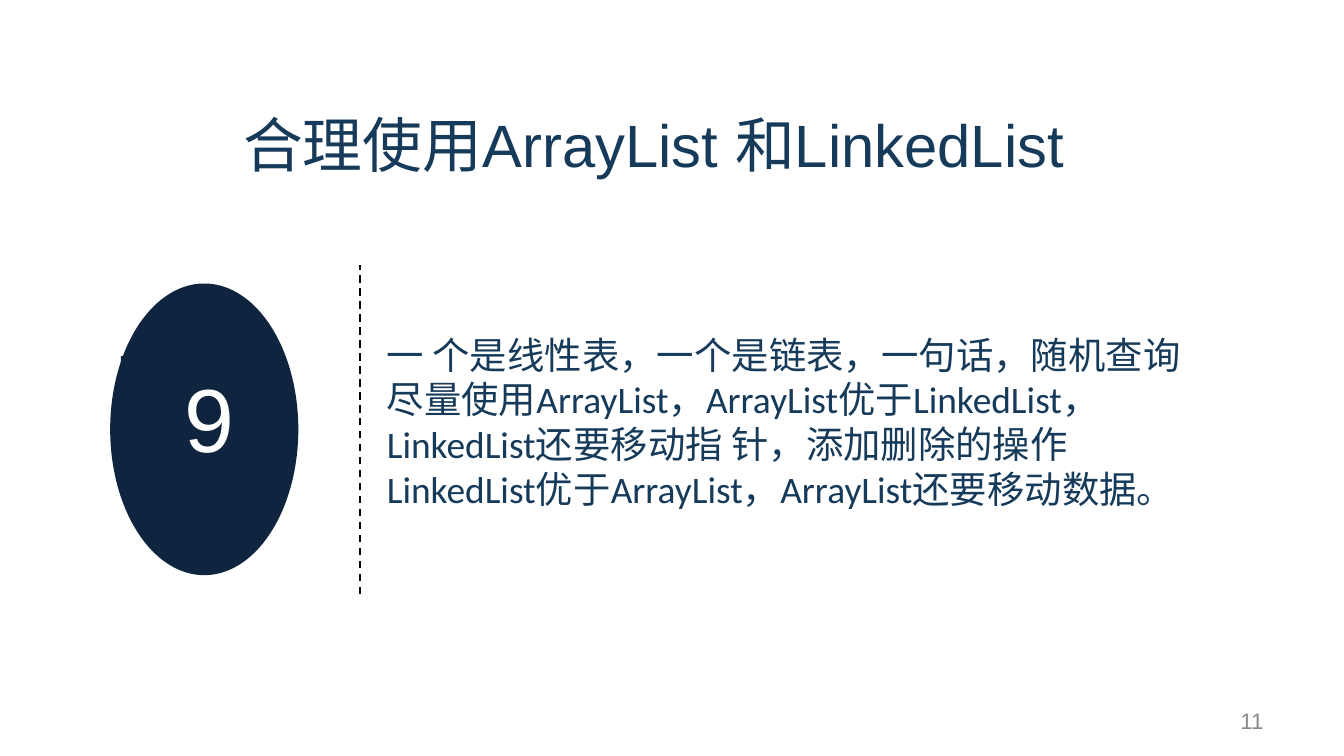
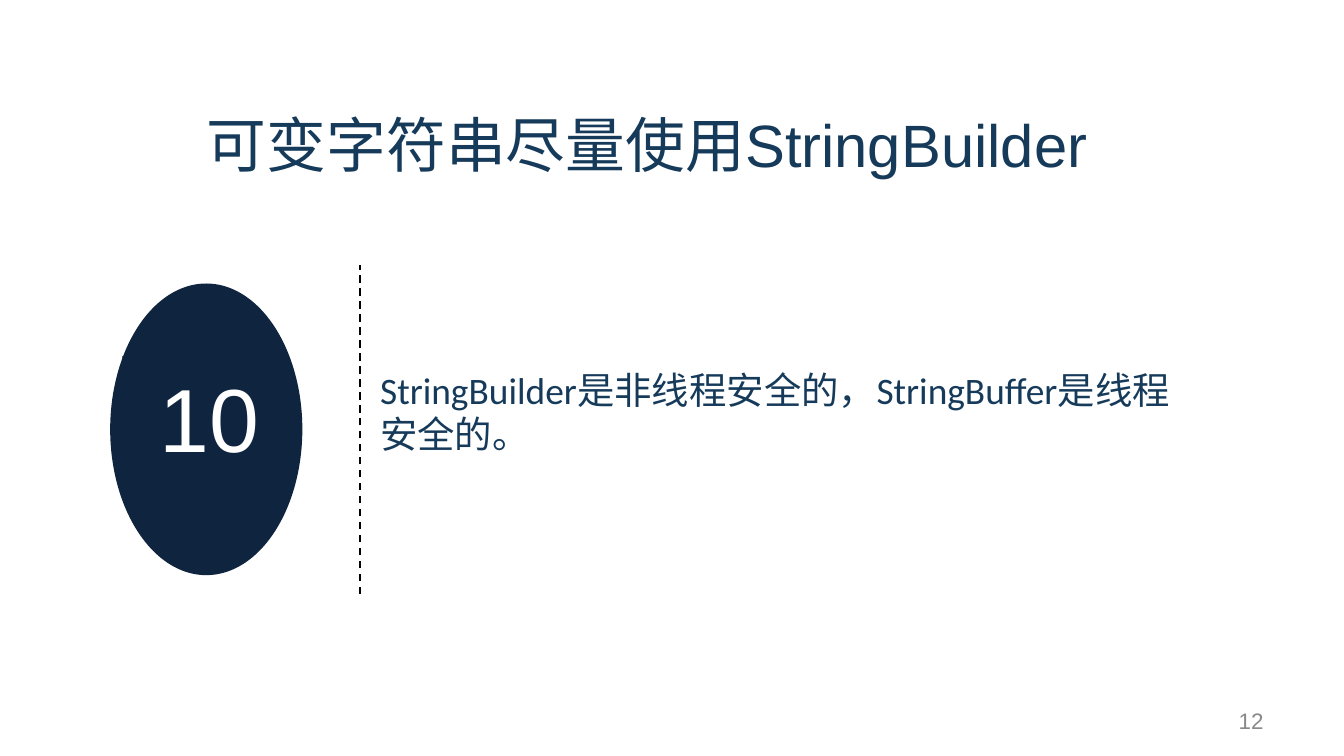
from dataclasses import dataclass

from lxml import etree
from pptx import Presentation
from pptx import util as u
from pptx.dml.color import RGBColor
from pptx.enum import dml, lang, shapes, text
from pptx.oxml.ns import qn

Inches = u.Inches

# Shared look
INK = "163A5A"
NAVY = "0F243E"
WHITE = "FFFFFF"
GREY = "898989"
BLACK = "000000"
TITLE_ONLY = 5


@dataclass
class Tip:
    number: str
    title: str
    title_left: float
    title_width: float
    body: str
    body_left: float
    body_top: float
    body_height: float
    badge_width: float
    label_left: float
    label_width: float
    label_indent: float
    page_number: str


TIPS = [
    Tip("9", "合理使用ArrayList 和LinkedList", 1.71, 6.35,
        "一 个是线性表，一个是链表，一句话，随机查询尽量使用ArrayList，"
        "ArrayList优于LinkedList，LinkedList还要移动指 针，"
        "添加删除的操作LinkedList优于ArrayList，ArrayList还要移动数据。",
        2.78, 2.42, 1.77, 1.40, 0.90, 1.15, 0.47, "11"),
    Tip("10", "可变字符串尽量使用StringBuilder", 1.44, 6.77,
        "StringBuilder是非线程安全的，StringBuffer是线程安全的。",
        2.73, 2.68, 0.77, 1.43, 0.91, 1.18, 0.28, "12"),
]


def color(value: str) -> RGBColor:
    return RGBColor.from_string(value)


def write(box, words: str, *, size: float, ink: str = INK, font: str = "Arial",
          align=text.PP_ALIGN.LEFT, anchor=text.MSO_ANCHOR.TOP,
          indent: float = 0.1) -> None:
    """Fill a shape with one formatted paragraph."""
    frame = box.text_frame
    frame.word_wrap = True
    frame.auto_size = text.MSO_AUTO_SIZE.NONE
    frame.vertical_anchor = anchor
    frame.margin_left, frame.margin_right = Inches(indent), Inches(0.1)
    frame.margin_top = frame.margin_bottom = Inches(0.05)
    para = frame.paragraphs[0]
    para.alignment = align
    # Keep closing punctuation inside the box
    para._p.get_or_add_pPr().set("hangingPunct", "0")
    span = para.add_run()
    span.text = words
    span.font.size = u.Pt(size)
    span.font.name = font
    span.font.color.rgb = color(ink)
    span.font.language_id = lang.MSO_LANGUAGE_ID.SIMPLIFIED_CHINESE


def add_text(page, left: float, top: float, width: float, height: float,
             words: str, **style) -> None:
    box = page.shapes.add_textbox(*map(Inches, (left, top, width, height)))
    write(box, words, **style)


def add_solid(group, kind, left: float, top: float, width: float, height: float):
    solid = group.shapes.add_shape(kind, *map(Inches, (left, top, width, height)))
    solid.shadow.inherit = False
    solid.fill.solid()
    solid.fill.fore_color.rgb = color(NAVY)
    solid.line.fill.background()
    return solid


def add_title(page, tip: Tip) -> None:
    title = page.shapes.title
    title.left, title.top = Inches(tip.title_left), Inches(0.75)
    title.width, title.height = Inches(tip.title_width), Inches(1.17)
    write(title, tip.title, size=32)


def add_divider(page) -> None:
    divider = page.shapes.add_connector(
        shapes.MSO_CONNECTOR.STRAIGHT,
        Inches(2.68), Inches(4.42), Inches(2.68), Inches(1.97))
    divider.line.color.rgb = color(BLACK)
    divider.line.width = u.Pt(1)
    divider.line.dash_style = dml.MSO_LINE.DASH
    etree.SubElement(divider._element.spPr, qn("a:effectLst"))


def add_badge(page, tip: Tip) -> None:
    badge = page.shapes.add_group_shape()
    add_solid(badge, shapes.MSO_SHAPE.OVAL, 0.82, 2.11, tip.badge_width, 2.17)
    label = add_solid(badge, shapes.MSO_SHAPE.RECTANGLE,
                      tip.label_left, 2.65, tip.label_width, 0.9)
    write(label, tip.number, size=48, ink=WHITE, indent=tip.label_indent)


def add_tip(deck, tip: Tip) -> None:
    page = deck.slides.add_slide(deck.slide_layouts[TITLE_ONLY])
    add_title(page, tip)
    add_text(page, tip.body_left, tip.body_top, 6.18, tip.body_height,
             tip.body, size=20, font="Calibri")
    add_divider(page)
    add_badge(page, tip)
    # Page number
    add_text(page, 7.17, 5.21, 2.33, 0.3, tip.page_number, size=12, ink=GREY,
             align=text.PP_ALIGN.RIGHT, anchor=text.MSO_ANCHOR.MIDDLE)


def main() -> None:
    deck = Presentation()
    # Widescreen, 16:9
    deck.slide_width = Inches(10)
    deck.slide_height = deck.slide_width * 9 // 16
    for tip in TIPS:
        add_tip(deck, tip)
    deck.save("out.pptx")


if __name__ == "__main__":
    main()
